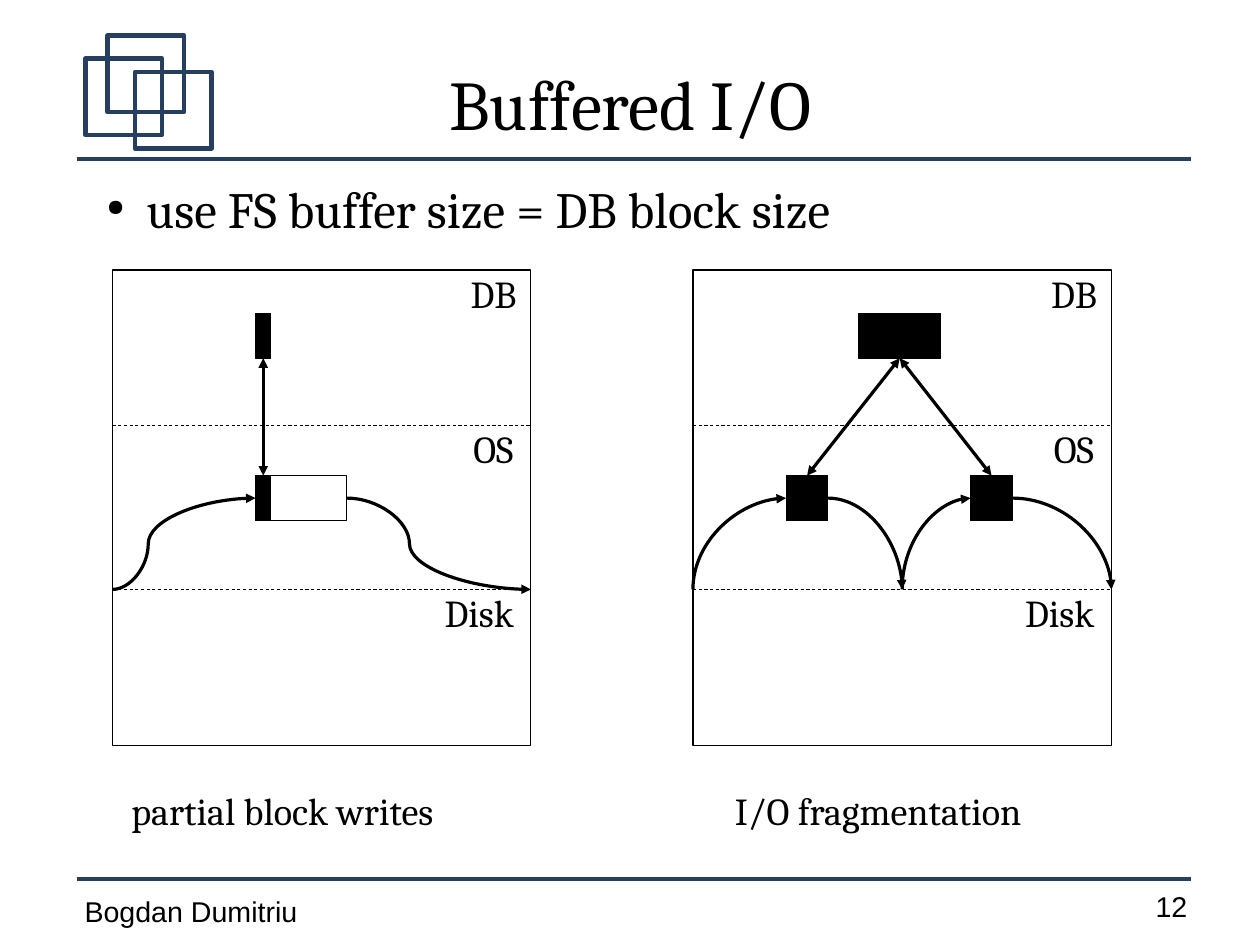
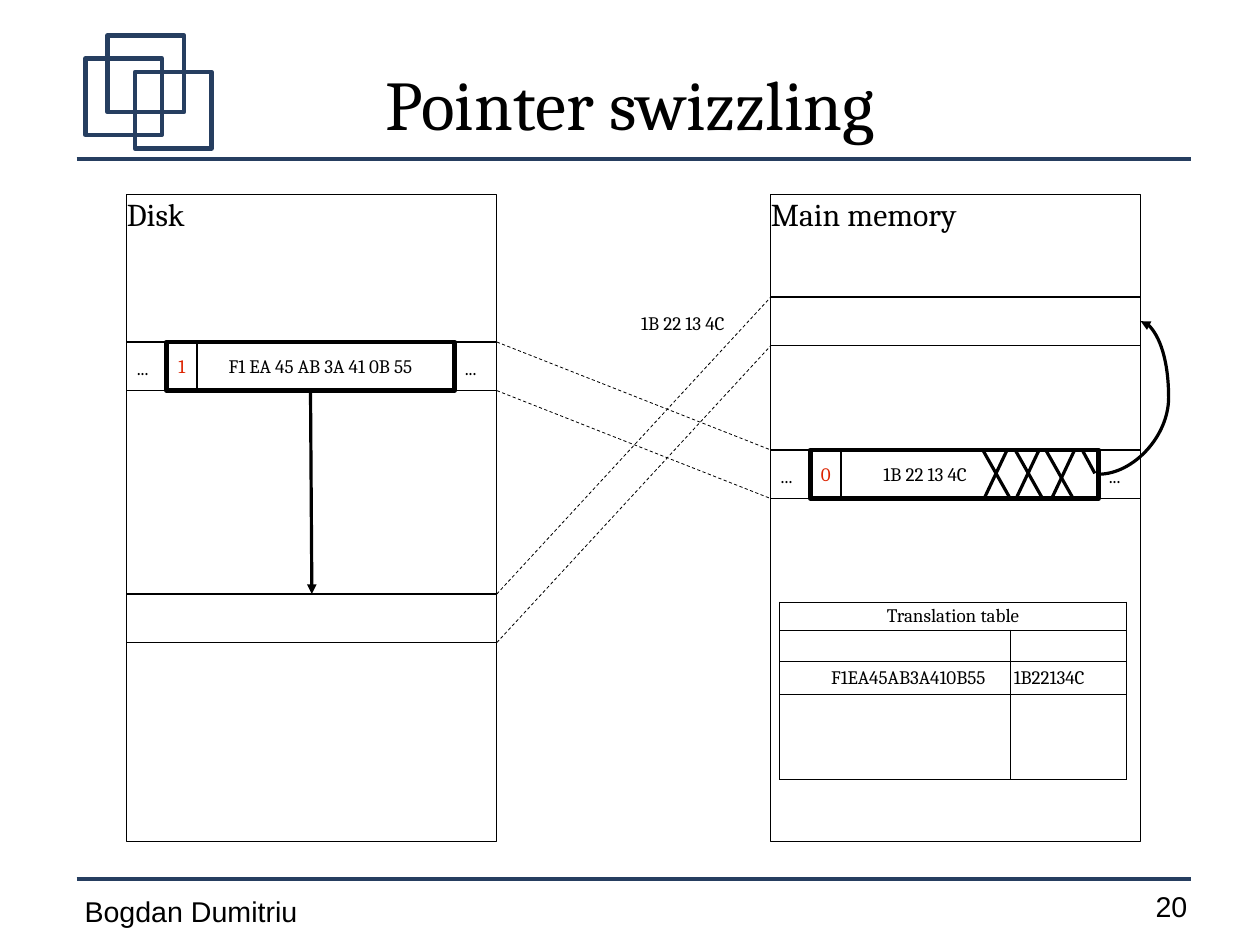
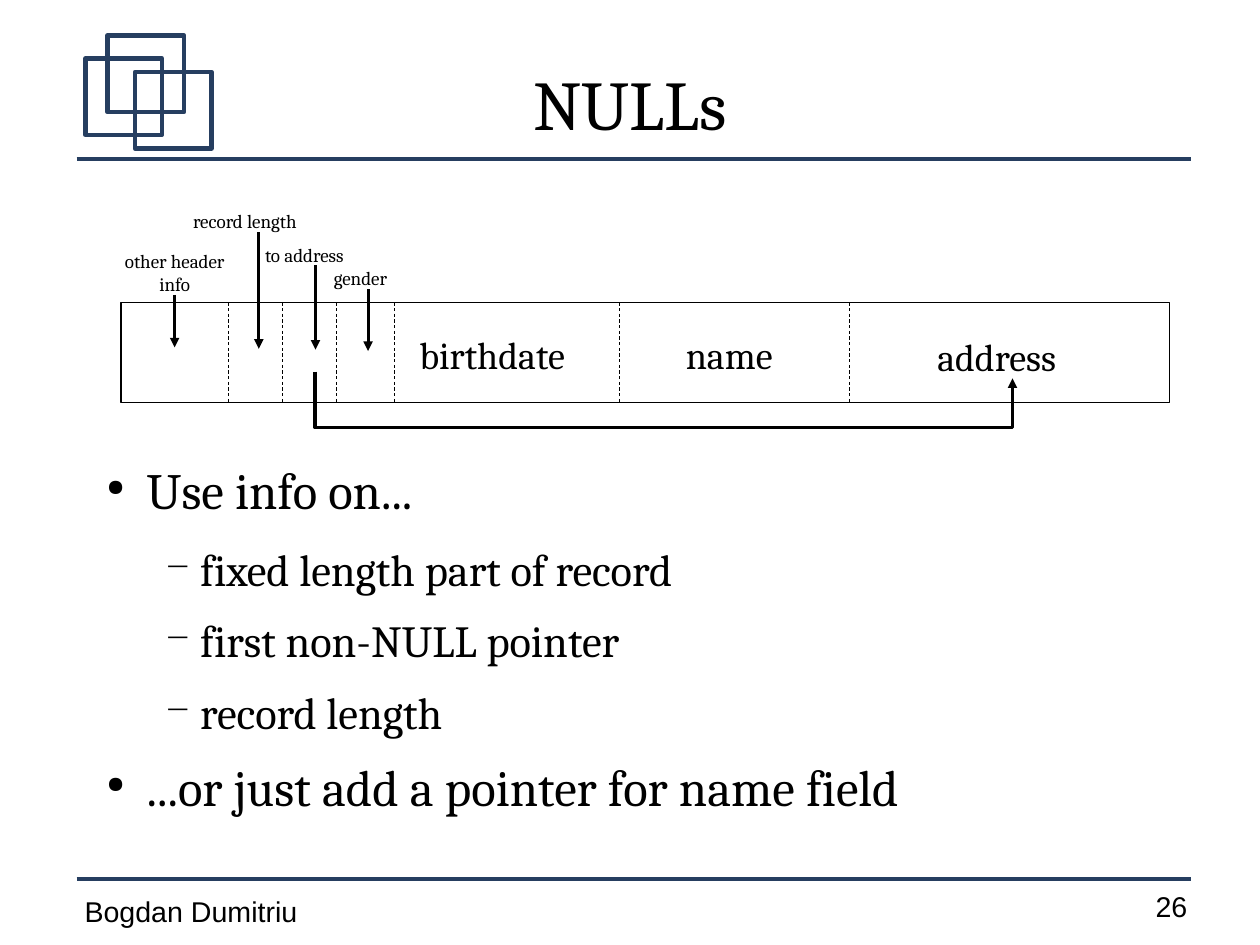
from dataclasses import dataclass
from typing import Optional

from lxml import etree
from pptx import Presentation
from pptx.dml.color import RGBColor
from pptx.enum.dml import MSO_LINE
from pptx.enum.shapes import MSO_CONNECTOR, MSO_SHAPE
from pptx.enum.text import MSO_ANCHOR, PP_ALIGN
from pptx.oxml.ns import qn
from pptx.shapes.autoshape import Shape
from pptx.shapes.connector import Connector
from pptx.slide import Slide
from pptx.util import Cm, Pt

COLORS = {"ink": "000000", "navy": "263E60", "red": "DC2300"}
SERIF, SANS = "Cambria", "Arial"
HAIRLINE, RULE, THICK = 0, 2.83, 2.89
STRAIGHT, ELBOW, CURVE = MSO_CONNECTOR.STRAIGHT, MSO_CONNECTOR.ELBOW, MSO_CONNECTOR.CURVE
LEFT, CENTER, RIGHT = PP_ALIGN.LEFT, PP_ALIGN.CENTER, PP_ALIGN.RIGHT
TOP, MIDDLE = MSO_ANCHOR.TOP, MSO_ANCHOR.MIDDLE
TOP_SIDE, LEFT_SIDE, BOTTOM_SIDE, RIGHT_SIDE = range(4)
Point = tuple[float, float]


@dataclass(frozen=True)
class Box:
    left: float
    top: float
    width: float
    height: float

    def lengths(self) -> tuple[Cm, Cm, Cm, Cm]:
        return Cm(self.left), Cm(self.top), Cm(self.width), Cm(self.height)


@dataclass(frozen=True)
class Label:
    text: str
    left: float
    top: float
    width: float
    size: float = 12
    align: PP_ALIGN = LEFT


@dataclass(frozen=True)
class BulletStyle:
    symbol: str
    symbol_percent: int
    size: float
    margin: float
    hanging: float
    space_after: float


@dataclass(frozen=True)
class Store:
    """A storage area on the swizzling slide, with one row holding a record."""
    name: str
    left: float
    record_top: float
    target_top: float
    flag: str
    pointer: str
    inset_left: float
    inset_right: float


BULLETS = (
    BulletStyle("●", 45, 32, 1.2, 0.89, 14.2),
    BulletStyle("−", 75, 28, 2.39, 0.79, 11.3),
)


def color(name: str) -> RGBColor:
    return RGBColor.from_string(COLORS[name])


def write(shape: Shape, text: str, size: float, font: str = SERIF, align: PP_ALIGN = LEFT,
          anchor: MSO_ANCHOR = TOP, ink: str = "ink",
          inset_left: float = 0, inset_right: float = 0) -> None:
    frame = shape.text_frame
    frame.word_wrap = True
    frame.vertical_anchor = anchor
    frame.margin_left, frame.margin_right = Cm(inset_left), Cm(inset_right)
    frame.margin_top = frame.margin_bottom = 0
    frame.text = text
    for paragraph in frame.paragraphs:
        paragraph.alignment = align
        paragraph.font.name = font
        paragraph.font.size = Pt(size)
        paragraph.font.color.rgb = color(ink)


def add_text(slide: Slide, box: Box, text: str, size: float, font: str = SERIF,
             align: PP_ALIGN = LEFT, anchor: MSO_ANCHOR = TOP) -> None:
    write(slide.shapes.add_textbox(*box.lengths()), text, size, font, align, anchor)


def add_label(slide: Slide, label: Label) -> None:
    height = label.size * 0.042 * (label.text.count("\n") + 1)
    add_text(slide, Box(label.left, label.top, label.width, height),
             label.text, label.size, align=label.align)


def add_rectangle(slide: Slide, box: Box, filled: bool = False,
                  line: str = "ink", weight: float = HAIRLINE) -> Shape:
    shape = slide.shapes.add_shape(MSO_SHAPE.RECTANGLE, *box.lengths())
    shape.shadow.inherit = False
    if filled:
        shape.fill.solid()
        shape.fill.fore_color.rgb = color("ink")
    else:
        shape.fill.background()
    shape.line.color.rgb = color(line)
    shape.line.width = Pt(weight)
    return shape


def add_line(slide: Slide, start: Point, end: Point, kind: MSO_CONNECTOR = STRAIGHT,
             head: bool = False, tail: bool = False, dashed: bool = False,
             line: str = "ink", weight: float = HAIRLINE) -> Connector:
    connector = slide.shapes.add_connector(kind, Cm(start[0]), Cm(start[1]), Cm(end[0]), Cm(end[1]))
    connector.line.color.rgb = color(line)
    connector.line.width = Pt(weight)
    if dashed:
        connector.line.width = Pt(0.5)
        connector.line.dash_style = MSO_LINE.DASH
    properties = connector._element.spPr
    outline = properties.find(qn("a:ln"))
    for tag, wanted in (("a:headEnd", head), ("a:tailEnd", tail)):
        if wanted:
            etree.SubElement(outline, qn(tag), type="triangle")
    etree.SubElement(properties, qn("a:effectLst"))
    return connector


def join(connector: Connector, begin: Optional[Shape] = None, begin_side: int = 0,
         end: Optional[Shape] = None, end_side: int = 0) -> None:
    if begin is not None:
        connector.begin_connect(begin, begin_side)
    if end is not None:
        connector.end_connect(end, end_side)


def set_bend(connector: Connector, share: float) -> None:
    """Place the middle of a three-part connector at a share of its width."""
    geometry = connector._element.spPr.find(qn("a:prstGeom"))
    guides = geometry.find(qn("a:avLst"))
    if guides is None:
        guides = etree.SubElement(geometry, qn("a:avLst"))
    etree.SubElement(guides, qn("a:gd"), name="adj1", fmla=f"val {round(share * 100000)}")


def add_arc(slide: Slide, block: Shape, side: int, start: Point, end: Point,
            arrow_at_block: bool) -> None:
    """Quarter curve that leaves a block sideways and meets the disk line from above."""
    connector = add_line(slide, start, end, CURVE, head=arrow_at_block, tail=not arrow_at_block)
    connector._element.spPr.find(qn("a:prstGeom")).set("prst", "curvedConnector2")
    join(connector, block, side)


def add_upright_elbow(slide: Slide, start: Point, end: Point, bend_y: float) -> None:
    """Elbow arrow that leaves downwards, turns at bend_y and ends upwards."""
    center_x, center_y = (start[0] + end[0]) / 2, (start[1] + end[1]) / 2
    half_width, half_height = (end[1] - start[1]) / 2, (end[0] - start[0]) / 2
    connector = add_line(slide, (center_x + half_width, center_y - half_height),
                         (center_x - half_width, center_y + half_height), ELBOW, tail=True)
    connector._element.spPr.find(qn("a:xfrm")).set("rot", str(270 * 60000))
    set_bend(connector, (bend_y - start[1]) / (end[1] - start[1]))


def add_bullets(slide: Slide, box: Box, items: list[tuple[int, str]]) -> None:
    shape = slide.shapes.add_textbox(*box.lengths())
    write(shape, "", BULLETS[0].size)
    frame = shape.text_frame
    for index, (level, text) in enumerate(items):
        style = BULLETS[level]
        paragraph = frame.add_paragraph() if index else frame.paragraphs[0]
        paragraph.text = text
        paragraph.level = level
        properties = paragraph._p.get_or_add_pPr()
        for old in list(properties):
            properties.remove(old)
        properties.set("marL", str(Cm(style.margin)))
        properties.set("indent", str(-Cm(style.hanging)))
        tint = etree.SubElement(properties, qn("a:buClr"))
        etree.SubElement(tint, qn("a:srgbClr"), val=COLORS["ink"])
        etree.SubElement(properties, qn("a:buSzPct"), val=str(style.symbol_percent * 1000))
        etree.SubElement(properties, qn("a:buChar"), char=style.symbol)
        paragraph.space_after = Pt(style.space_after)
        paragraph.font.name = SERIF
        paragraph.font.size = Pt(style.size)
        paragraph.font.color.rgb = color("ink")


def add_framed_slide(presentation: Presentation, title: str, number: int) -> Slide:
    """Add a slide with the shared rules, squares, title and footer."""
    slide = presentation.slides.add_slide(presentation.slide_layouts[6])
    for y in (19.53, 3.53):
        add_line(slide, (1.7, y), (26.47, y), line="navy", weight=RULE)
    add_text(slide, Box(1.88, 19.86, 7, 0.86), "Bogdan Dumitriu", 18, SANS)
    add_text(slide, Box(25.68, 19.76, 1.02, 0.86), str(number), 18, SANS)
    for left, top in ((1.9, 1.3), (2.39, 0.79), (3, 1.6)):
        add_rectangle(slide, Box(left, top, 1.7, 1.7), line="navy", weight=RULE)
    add_text(slide, Box(2.06, 0.53, 23.9, 3.5), title, 44, align=CENTER, anchor=MIDDLE)
    return slide


def build_buffered_io(presentation: Presentation) -> None:
    slide = add_framed_slide(presentation, "Buffered I/O", 12)
    add_bullets(slide, Box(2.06, 3.96, 23.9, 1.4), [(0, "use FS buffer size = DB block size")])

    top, width, os_top, disk_top = 6, 9.3, 9.45, 13.1
    block_top, buffer_top, block_height = 6.96, 10.57, 1
    block_bottom, buffer_middle = block_top + block_height, buffer_top + block_height / 2
    left_panel, right_panel = 2.5, 15.4
    for left, caption, caption_left in ((left_panel, "partial block writes", 2.92),
                                        (right_panel, "I/O fragmentation", 16.33)):
        add_rectangle(slide, Box(left, top, width, 10.56))
        for y in (os_top, disk_top):
            add_line(slide, (left, y), (left + width, y), dashed=True)
        for name, offset, y in (("DB", 7.96, top), ("OS", 8.02, os_top), ("Disk", 7.38, disk_top)):
            add_label(slide, Label(name, left + offset, y, width - offset, 24))
        add_label(slide, Label(caption, caption_left, 17.5, 8.36, 24))

    block_left, sliver, buffer_width = 5.68, 0.34, 2.03
    block = add_rectangle(slide, Box(block_left, block_top, sliver, block_height), filled=True)
    add_rectangle(slide, Box(block_left, buffer_top, buffer_width, block_height))
    used_part = add_rectangle(slide, Box(block_left, buffer_top, sliver, block_height), filled=True)
    set_bend(add_line(slide, (left_panel, disk_top), (block_left, buffer_middle), CURVE, tail=True),
             0.25)
    set_bend(add_line(slide, (block_left + buffer_width, buffer_middle),
                      (left_panel + width, disk_top), CURVE, tail=True), 0.34)
    transfer = add_line(slide, (block_left, block_bottom), (block_left, buffer_top),
                        head=True, tail=True)
    join(transfer, block, BOTTOM_SIDE, used_part, TOP_SIDE)

    whole_block = add_rectangle(slide, Box(19.08, block_top, 1.83, block_height), filled=True)
    fragment_width, half = 0.93, width / 2
    for index, left in enumerate((17.47, 21.57)):
        fragment = add_rectangle(slide, Box(left, buffer_top, fragment_width, block_height),
                                 filled=True)
        transfer = add_line(slide, (left, buffer_top), (20, block_bottom), head=True, tail=True)
        join(transfer, fragment, TOP_SIDE, whole_block, BOTTOM_SIDE)
        read_x = right_panel + index * half
        add_arc(slide, fragment, LEFT_SIDE, (left, buffer_middle), (read_x, disk_top), True)
        add_arc(slide, fragment, RIGHT_SIDE, (left + fragment_width, buffer_middle),
                (read_x + half, disk_top), False)


def add_translation_table(slide: Slide) -> None:
    widths, heights = (5.13, 2.59), (0.62, 0.69, 0.75, 1.89)
    box = Box(17.32, 13.38, sum(widths), sum(heights))
    table = slide.shapes.add_table(len(heights), len(widths), *box.lengths()).table
    table.first_row = table.horz_banding = False
    for column, width in zip(table.columns, widths):
        column.width = Cm(width)
    for row, height in zip(table.rows, heights):
        row.height = Cm(height)
    texts = {(0, 0): ("Translation table", CENTER),
             (2, 0): ("F1EA45AB3A410B55", RIGHT),
             (2, 1): ("1B22134C", LEFT)}
    for row in range(len(heights)):
        for column in range(len(widths)):
            cell = table.cell(row, column)
            text, align = texts.get((row, column), ("", LEFT))
            cell.text = text
            cell.vertical_anchor = MIDDLE
            cell.margin_top = cell.margin_bottom = 0
            cell.margin_left = Cm(0.08 if align == LEFT else 0)
            cell.margin_right = Cm(0.55 if align == RIGHT else 0)
            paragraph = cell.text_frame.paragraphs[0]
            paragraph.alignment = align
            paragraph.font.name = SERIF
            paragraph.font.size = Pt(12)
            paragraph.font.color.rgb = color("ink")
            properties = cell._tc.get_or_add_tcPr()
            for side in ("a:lnL", "a:lnR", "a:lnT", "a:lnB"):
                border = etree.SubElement(properties, qn(side), w=str(Pt(0.5)))
                paint = etree.SubElement(border, qn("a:solidFill"))
                etree.SubElement(paint, qn("a:srgbClr"), val=COLORS["ink"])
            cell.fill.background()
    table.cell(0, 0).merge(table.cell(0, 1))


def build_pointer_swizzling(presentation: Presentation) -> None:
    slide = add_framed_slide(presentation, "Pointer swizzling", 20)
    top, width, row_height = 4.32, 8.22, 1.08
    disk = Store("Disk", 2.82, 7.6, 13.2, "1", "F1 EA 45 AB 3A 41 0B 55", 0.5, 0.05)
    memory = Store("Main memory", 17.13, 10, 6.6, "0", "1B 22 13 4C", 0.05, 1.35)
    records, targets = [], []
    for store in (disk, memory):
        add_rectangle(slide, Box(store.left, top, width, 14.38))
        add_label(slide, Label(store.name, store.left, top, 5, 20))
        add_rectangle(slide, Box(store.left, store.record_top, width, row_height))
        targets.append(add_rectangle(slide, Box(store.left, store.target_top, width, row_height)))
        record_left = store.left + 0.88
        record = add_rectangle(slide, Box(record_left, store.record_top, 6.4, row_height),
                               weight=THICK)
        write(record, store.pointer, 12, align=CENTER, anchor=MIDDLE,
              inset_left=store.inset_left, inset_right=store.inset_right)
        records.append(record)
        flag = add_rectangle(slide, Box(record_left, store.record_top, 0.68, row_height))
        write(flag, store.flag, 12, align=CENTER, anchor=MIDDLE, ink="red")
        for offset in (0.22, 7.51):
            add_label(slide, Label("...", store.left + offset, store.record_top + 0.33, 0.5))

    disk_pointer = add_line(slide, (6.9, 8.7), (6.93, 13.2), tail=True)
    join(disk_pointer, records[0], BOTTOM_SIDE, targets[0], TOP_SIDE)
    memory_pointer = add_line(slide, (24.41, 10.54), (25.35, 7.14), CURVE, tail=True)
    join(memory_pointer, records[1], RIGHT_SIDE, targets[1], RIGHT_SIDE)
    set_bend(memory_pointer, 1.66)

    for start, end in ((disk.record_top, memory.record_top), (disk.target_top, memory.target_top)):
        for edge in (0, row_height):
            add_line(slide, (disk.left + width, start + edge), (memory.left, end + edge),
                     dashed=True)
    add_label(slide, Label("1B 22 13 4C", 14.25, 6.93, 2.67))

    hatch_top, hatch_bottom = memory.record_top, memory.record_top + row_height
    for x in (21.84, 22.56, 23.24):
        add_line(slide, (x, hatch_top), (x + 0.61, hatch_bottom))
    add_line(slide, (24.05, hatch_top), (24.33, hatch_top + 0.52))
    for x in (22.38, 23.09, 23.88):
        add_line(slide, (x, hatch_top), (x - 0.51, hatch_bottom))
    add_translation_table(slide)


def build_nulls(presentation: Presentation) -> None:
    slide = add_framed_slide(presentation, "NULLs", 26)
    add_bullets(slide, Box(2.06, 10.19, 23.9, 8.89), [
        (0, "Use info on..."),
        (1, "fixed length part of record"),
        (1, "first non-NULL pointer"),
        (1, "record length"),
        (0, "...or just add a pointer for name field"),
    ])
    record = Box(2.69, 6.72, 23.3, 2.23)
    add_rectangle(slide, record)
    for x in (5.08, 6.28, 7.48, 8.77, 13.77, 18.87):
        add_line(slide, (x, record.top), (x, record.top + record.height), dashed=True)
    for label in (
        Label("birthdate", 9.32, 7.37, 4, 24),
        Label("name", 15.24, 7.37, 2.4, 24),
        Label("address", 20.83, 7.42, 3.4, 24),
        Label("gender", 7.42, 5.92, 1.6),
        Label("to address", 5.89, 5.41, 2.3),
        Label("record length", 4.29, 4.65, 2.9),
        Label("other header\ninfo", 2.49, 5.54, 2.79, align=CENTER),
    ):
        add_label(slide, label)
    for x, start, end in ((3.88, 6.55, 7.72), (5.75, 5.16, 7.75), (7.01, 5.89, 7.77),
                          (8.18, 6.43, 7.8)):
        add_line(slide, (x, start), (x, end), tail=True)
    add_upright_elbow(slide, (7, 8.26), (22.5, 8.41), 9.5)


def main() -> None:
    presentation = Presentation()
    presentation.slide_width, presentation.slide_height = Cm(28), Cm(21)
    build_buffered_io(presentation)
    build_pointer_swizzling(presentation)
    build_nulls(presentation)
    presentation.save("out.pptx")


if __name__ == "__main__":
    main()
